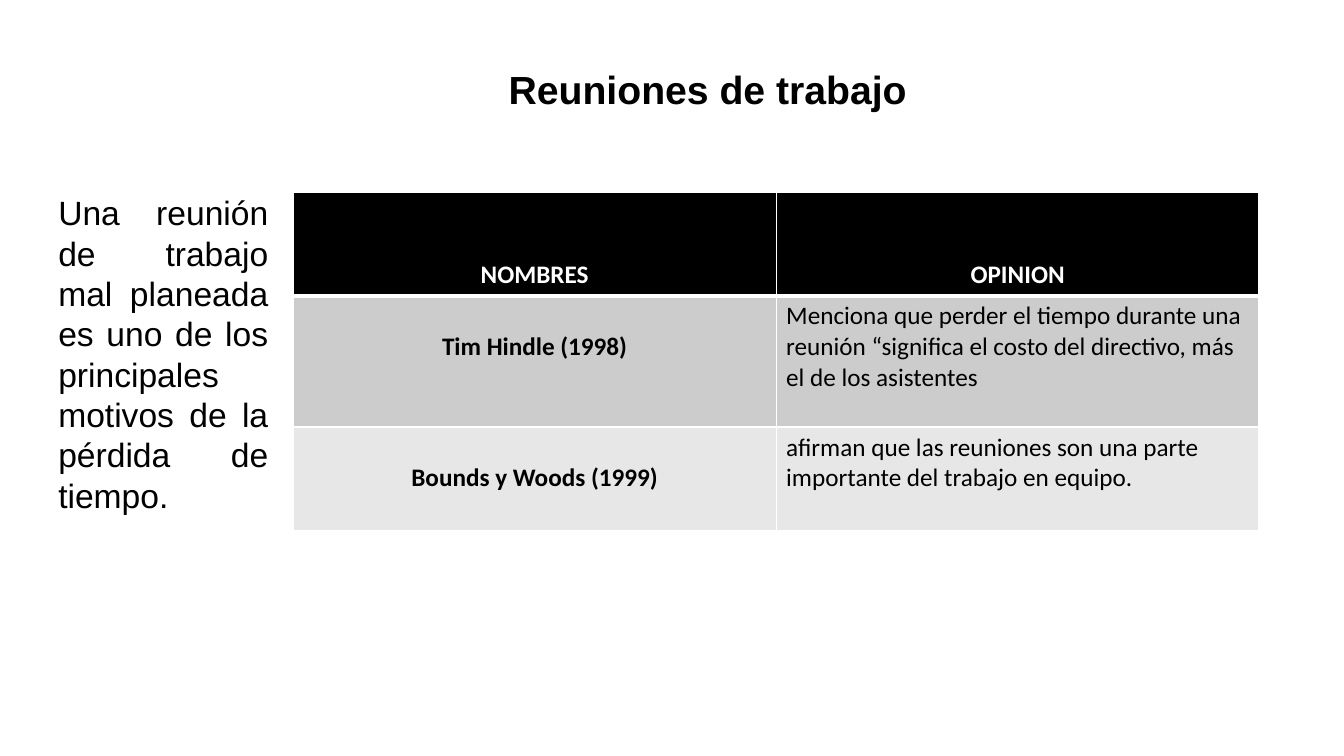
from dataclasses import dataclass

from lxml import etree
from pptx import Presentation
from pptx.dml.color import RGBColor
from pptx.enum.text import MSO_ANCHOR, MSO_AUTO_SIZE, PP_ALIGN
from pptx.oxml.ns import qn
from pptx.util import Cm, Pt

LEFT, CENTER, JUSTIFY = PP_ALIGN.LEFT, PP_ALIGN.CENTER, PP_ALIGN.JUSTIFY
TOP, BOTTOM = MSO_ANCHOR.TOP, MSO_ANCHOR.BOTTOM
GROW = MSO_AUTO_SIZE.SHAPE_TO_FIT_TEXT


@dataclass(frozen=True)
class Theme:
    """Colours, fonts and type sizes of the slide."""
    black: str = "000000"
    white: str = "FFFFFF"
    bands: tuple = ("CCCCCC", "E7E7E7")
    text_font: str = "Arial"
    table_font: str = "Calibri"
    title_size: int = 28
    body_size: int = 24
    table_size: int = 18
    thin: int = 1
    thick: int = 3


def write_text(frame, text, *, font, size, color, bold=False, align=LEFT):
    """Put one formatted paragraph into a text frame."""
    paragraph = frame.paragraphs[0]
    paragraph.alignment = align
    run = paragraph.add_run()
    run.text = text
    run.font.name = font
    run.font.size = Pt(size)
    run.font.bold = bold
    run.font.color.rgb = RGBColor.from_string(color)


def set_borders(cell, color, **widths):
    """Draw the cell borders, given as left, right, top and bottom in points."""
    properties = cell._tc.get_or_add_tcPr()
    for side, width in widths.items():
        line = etree.SubElement(properties, qn(f"a:ln{side[0].upper()}"), w=str(Pt(width)))
        fill = etree.SubElement(line, qn("a:solidFill"))
        etree.SubElement(fill, qn("a:srgbClr"), val=color)


class SlideBuilder:
    """Adds styled elements to the current slide."""

    def __init__(self, slide, theme):
        """Keep the slide and its theme."""
        self.slide = slide
        self.theme = theme

    def text_box(self, text, left, top, width, height, wrap=True, **text_format):
        """Add a text box with one paragraph."""
        shape = self.slide.shapes.add_textbox(Cm(left), Cm(top), Cm(width), Cm(height))
        frame = shape.text_frame
        frame.word_wrap = wrap
        frame.auto_size = GROW
        write_text(frame, text, font=self.theme.text_font,
                   color=self.theme.black, **text_format)

    def cell(self, cell, text, fill, *, color, anchor=TOP, top_margin=0.13,
             top_line, bottom_line, **text_format):
        """Fill, border and write one table cell."""
        theme = self.theme
        set_borders(cell, theme.white, left=theme.thin, right=theme.thin,
                    top=top_line, bottom=bottom_line)
        cell.fill.solid()
        cell.fill.fore_color.rgb = RGBColor.from_string(fill)
        cell.vertical_anchor = anchor
        cell.margin_top = Cm(top_margin)
        write_text(cell.text_frame, text, font=theme.table_font,
                   size=theme.table_size, color=color, **text_format)

    def opinion_table(self, headings, opinions, left, top, column_width, row_heights):
        """Add the table of names and opinions with banded rows."""
        theme = self.theme
        columns = len(headings)
        table = self.slide.shapes.add_table(
            len(row_heights), columns, Cm(left), Cm(top),
            Cm(column_width * columns), Cm(sum(row_heights))).table
        for column in table.columns:
            column.width = Cm(column_width)
        for row, height in zip(table.rows, row_heights):
            row.height = Cm(height)
        for index, heading in enumerate(headings):
            self.cell(table.cell(0, index), heading, theme.black, color=theme.white,
                      anchor=BOTTOM, bold=True, align=CENTER,
                      top_line=theme.thin, bottom_line=theme.thick)
        for row, (name, opinion) in enumerate(opinions, start=1):
            band = dict(fill=theme.bands[(row - 1) % len(theme.bands)],
                        color=theme.black, bottom_line=theme.thin,
                        top_line=theme.thick if row == 1 else theme.thin)
            self.cell(table.cell(row, 0), name, top_margin=0.9,
                      bold=True, align=CENTER, **band)
            self.cell(table.cell(row, 1), opinion, **band)


def main():
    """Build and save the slide."""
    presentation = Presentation()
    presentation.slide_width, presentation.slide_height = Cm(33.87), Cm(19.05)
    theme = Theme()
    builder = SlideBuilder(
        presentation.slides.add_slide(presentation.slide_layouts[6]), theme)

    builder.text_box("Reuniones de trabajo", 12.57, 1.52, 10.67, 3.84, wrap=False,
                     size=theme.title_size, bold=True)
    builder.opinion_table(
        ("NOMBRES", "OPINION"),
        (("Tim Hindle (1998)",
          "Menciona que perder el tiempo durante una reunión “significa el costo "
          "del directivo, más el de los asistentes"),
         ("Bounds y Woods (1999)",
          "afirman que las reuniones son una parte importante del trabajo en equipo.")),
        left=7.39, top=4.85, column_width=12.17, row_heights=(2.6, 3.31, 2.6))
    builder.text_box("Una reunión de trabajo mal planeada es uno de los principales "
                     "motivos de la pérdida de tiempo.", 1.22, 4.72, 5.79, 9.25,
                     size=theme.body_size, align=JUSTIFY)
    presentation.save("out.pptx")


main()
